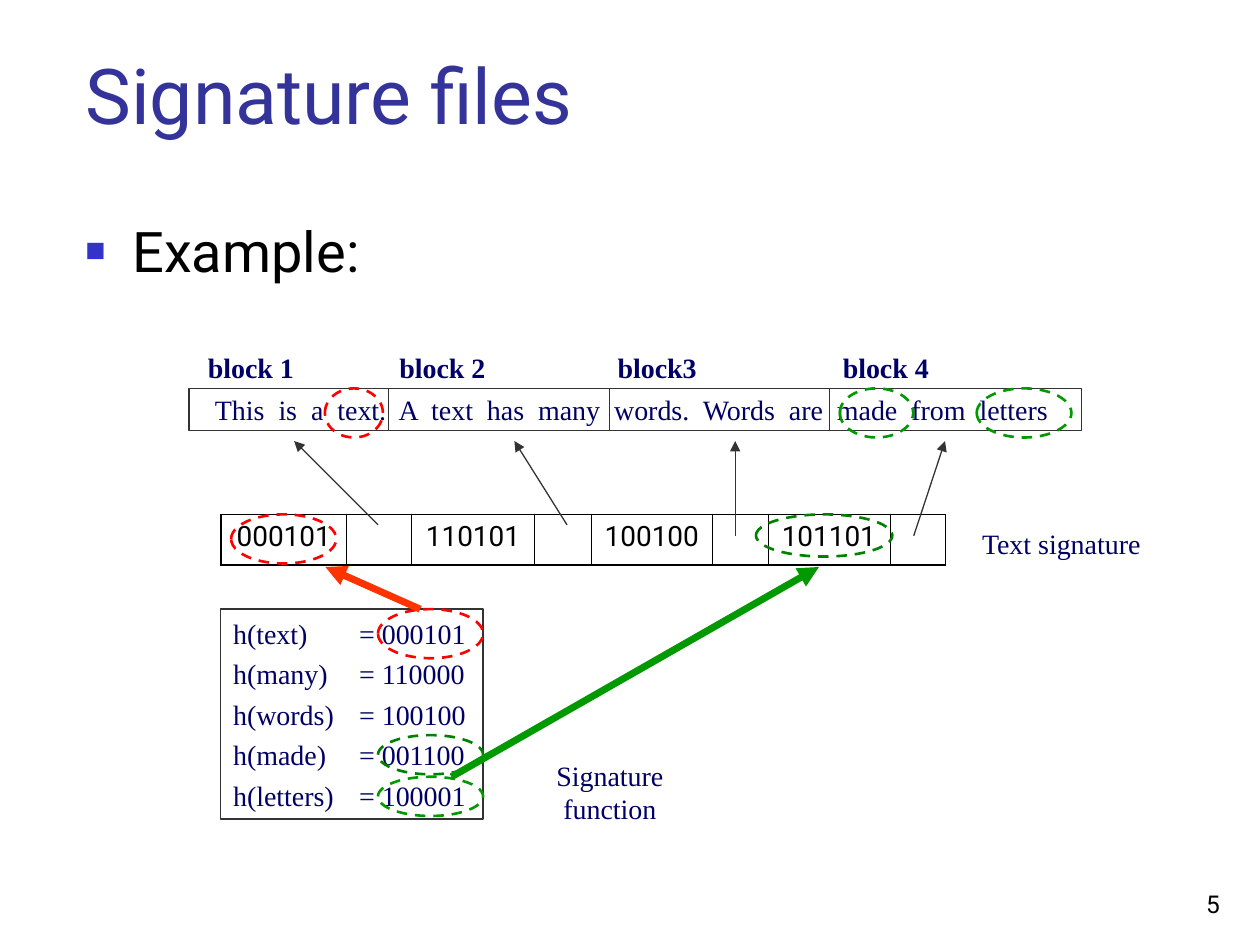
from lxml import etree
from pptx import Presentation
from pptx.dml.color import RGBColor
from pptx.enum import dml, shapes, text
from pptx.oxml import ns
from pptx.util import Cm, Pt

SERIF, SANS = "Times New Roman", "Roboto"
NAVY, GREY, BLACK = "000066", "333333", "000000"
RED, GREEN, DARK_GREEN, ORANGE = "FF0000", "009900", "008000", "FF3300"
LEFT, CENTER, RIGHT = text.PP_ALIGN.LEFT, text.PP_ALIGN.CENTER, text.PP_ALIGN.RIGHT
TOP, MIDDLE, BOTTOM = text.MSO_ANCHOR.TOP, text.MSO_ANCHOR.MIDDLE, text.MSO_ANCHOR.BOTTOM


def rgb(value):
    """Turn a hex string into a colour."""
    return RGBColor.from_string(value)


def child(parent, tag, **attributes):
    """Append a DrawingML element."""
    element = etree.SubElement(parent, ns.qn(f"a:{tag}"))
    for name, value in attributes.items():
        element.set(name, str(value))
    return element


def write(frame, content, size=16, font=SERIF, color=NAVY, bold=False,
          align=CENTER, anchor=MIDDLE, before=4, wrap=True, tabs=()):
    """Fill a text frame with formatted paragraphs, one for each line."""
    frame.word_wrap = wrap
    frame.vertical_anchor = anchor
    frame.text = content
    for paragraph in frame.paragraphs:
        paragraph.alignment = align
        paragraph.space_before = Pt(before)
        style = paragraph.font
        style.size, style.name, style.bold = Pt(size), font, bold
        style.color.rgb = rgb(color)
        if tabs:
            stops = child(paragraph._p.get_or_add_pPr(), "tabLst")
            for stop in tabs:
                child(stops, "tab", pos=Cm(stop), algn="l")


def add_label(slide, box, content, **style):
    """Add a text box."""
    frame = slide.shapes.add_textbox(*map(Cm, box)).text_frame
    write(frame, content, **style)
    return frame


def add_outline(slide, kind, box, color, width, dashed=False):
    """Add an unfilled shape."""
    shape = slide.shapes.add_shape(kind, *map(Cm, box))
    shape.shadow.inherit = False
    shape.fill.background()
    shape.line.color.rgb = rgb(color)
    shape.line.width = Pt(width)
    if dashed:
        shape.line.dash_style = dml.MSO_LINE.DASH
    return shape


def add_box(slide, box, content, **style):
    """Add a thin rectangle with text."""
    shape = add_outline(slide, shapes.MSO_SHAPE.RECTANGLE, box, GREY, 0.75)
    write(shape.text_frame, content, **style)


def add_ring(slide, box, color):
    """Add a dashed ellipse around a word or a code."""
    add_outline(slide, shapes.MSO_SHAPE.OVAL, box, color, 1.5, dashed=True)


def add_line(slide, start, end, color=GREY, width=0.75, arrow=True):
    """Add a straight line, with an arrowhead at its end if wanted."""
    line = slide.shapes.add_connector(
        shapes.MSO_CONNECTOR.STRAIGHT, *map(Cm, (*start, *end)))
    line.line.color.rgb = rgb(color)
    line.line.width = Pt(width)
    if arrow:
        child(line.line._get_or_add_ln(), "tailEnd", type="triangle")
    child(line._element.spPr, "effectLst")


def add_border(cell, side, width):
    """Draw one black border of a cell."""
    border = child(cell._tc.get_or_add_tcPr(), f"ln{side}", w=Pt(width))
    child(child(border, "solidFill"), "srgbClr", val=BLACK)


def add_signatures(slide, codes):
    """Add the row of block signatures, each followed by a pointer cell."""
    widths = [2.54, 1.3, 2.49, 1.14, 2.44, 1.12, 2.46, 1.12]
    table = slide.shapes.add_table(
        1, len(widths), Cm(4.45), Cm(10.37), Cm(sum(widths)), Cm(1.02)).table
    table.first_row = table.horz_banding = False
    table.rows[0].height = Cm(1.02)
    last = len(widths) - 1
    for index, width in enumerate(widths):
        table.columns[index].width = Cm(width)
        cell = table.cell(0, index)
        content = "" if index % 2 else codes[index // 2]
        write(cell.text_frame, content, font=SANS, color=BLACK, anchor=TOP)
        add_border(cell, "L", 0.45 if index else 1.08)
        add_border(cell, "R", 0.45 if index < last else 1.08)
        add_border(cell, "T", 1.08)
        add_border(cell, "B", 1.08)
        cell.fill.background()


def add_heading(slide):
    """Place the title, the bullet and the page number."""
    title = slide.shapes.title
    title.left, title.top, title.width, title.height = map(Cm, (1.47, 0.58, 23.06, 2.36))
    write(title.text_frame, "Signature files", size=44, font=SANS, color="333399",
          align=LEFT, anchor=BOTTOM, before=0)

    example = add_label(slide, (1.47, 4.24, 22.86, 12.8), "Example:", size=32,
                        font=SANS, color=BLACK, align=LEFT, anchor=TOP, before=8)
    bullet = example.paragraphs[0]._p.get_or_add_pPr()
    bullet.set("marL", str(Cm(0.95)))
    bullet.set("indent", str(Cm(-0.95)))
    child(child(bullet, "buClr"), "srgbClr", val="3333CC")
    child(bullet, "buSzPct", val=60000)
    child(bullet, "buFont", typeface="Arial")
    child(bullet, "buChar", char="■")

    add_label(slide, (19.56, 17.36, 5.28, 1.27), "5", size=14, font=SANS,
              color=BLACK, align=RIGHT, anchor=BOTTOM, before=0)


def add_blocks(slide):
    """Add the sentence, cut into four named blocks."""
    add_box(slide, (3.81, 7.83, 17.99, 0.85),
            "This  is  a  text.  A  text  has  many  words.  Words  are  made  from  letters ",
            wrap=False)
    names = add_label(slide, (3.81, 6.98, 17.99, 0.85),
                      "block 1\tblock 2\tblock3\tblock 4", bold=True, align=LEFT,
                      tabs=(3.86, 8.26, 12.8))
    names.margin_left = Cm(0.38)
    for x in (7.83, 12.28, 16.72):
        add_line(slide, (x, 7.83), (x, 8.68), arrow=False)


def main():
    """Build the slide."""
    deck = Presentation()
    deck.slide_width, deck.slide_height = Cm(25.4), Cm(19.05)
    slide = deck.slides.add_slide(deck.slide_layouts[5])

    add_heading(slide)
    add_signatures(slide, ["000101", "110101", "100100", "101101"])
    add_blocks(slide)
    add_label(slide, (19.53, 10.49, 3.73, 0.94), "Text signature",
              anchor=TOP, wrap=False)

    pointers = [((7.62, 10.58), (5.93, 8.89)), ((11.43, 10.58), (10.37, 8.89)),
                ((14.82, 10.8), (14.82, 8.89)), ((18.42, 10.8), (19.05, 8.89))]
    for start, end in pointers:
        add_line(slide, start, end)

    hashes = {"text": "000101", "many": "110000", "words": "100100",
              "made": "001100", "letters": "100001"}
    add_box(slide, (4.45, 12.28, 5.29, 4.23),
            "\n".join(f"h({word})\t= {code}" for word, code in hashes.items()),
            align=LEFT, tabs=(2.54,))
    add_label(slide, (9.96, 15.16, 4.67, 0.94), "Signature function",
              anchor=TOP, wrap=False)

    rings = [((7.62, 12.28, 2.12, 0.99), RED), ((6.55, 7.83, 1.17, 0.99), RED),
             ((4.66, 10.37, 2.12, 0.99), RED), ((7.62, 15.66, 2.12, 0.79), GREEN),
             ((7.62, 14.82, 2.12, 0.79), DARK_GREEN), ((16.93, 7.83, 1.48, 0.99), GREEN),
             ((19.69, 7.83, 1.91, 0.99), GREEN), ((15.24, 10.37, 2.75, 0.85), DARK_GREEN)]
    for box, color in rings:
        add_ring(slide, box, color)
    add_line(slide, (9.1, 15.66), (16.51, 11.43), GREEN, 4)
    add_line(slide, (8.47, 12.28), (6.56, 11.43), ORANGE, 4)

    deck.save("out.pptx")


if __name__ == "__main__":
    main()
